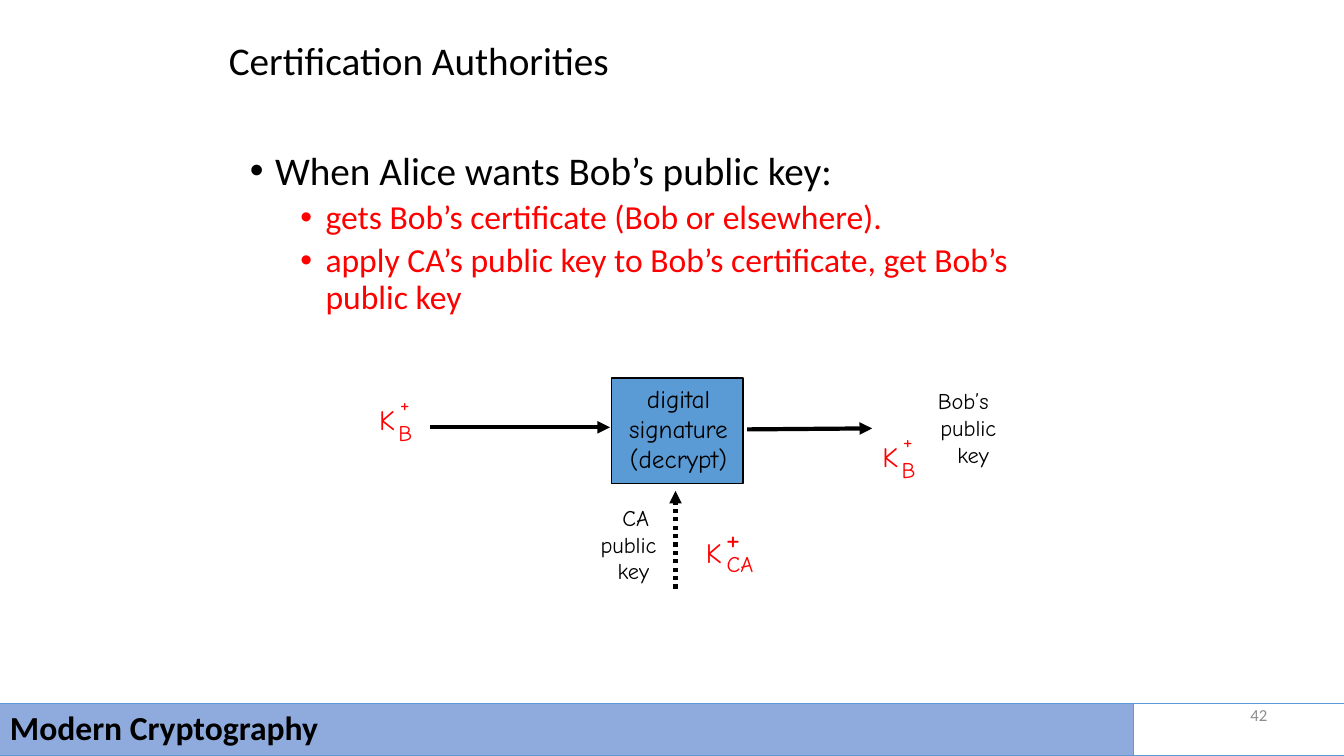
from lxml import etree
from pptx import Presentation
from pptx.dml.color import RGBColor
from pptx.enum import dml, shapes, text
from pptx.oxml.ns import qn
from pptx.util import Inches, Pt

COLORS = {"black": "000000", "red": "FF0000", "box": "5B9BD5",
          "footer": "8FAADC", "number": "8C8C8C"}
BODY_FONT = "Calibri"
DIAGRAM_FONT = "Comic Neue"
LEFT, CENTER, RIGHT = text.PP_ALIGN.LEFT, text.PP_ALIGN.CENTER, text.PP_ALIGN.RIGHT


def color(name):
    return RGBColor.from_string(COLORS[name])


def style(paragraph, size, color_name="black", font=BODY_FONT, align=LEFT, bold=False):
    paragraph.alignment = align
    paragraph.font.size = Pt(size)
    paragraph.font.name = font
    paragraph.font.bold = bold
    paragraph.font.color.rgb = color(color_name)


def write(frame, lines, size, anchor=text.MSO_ANCHOR.TOP, spacing=None, wrap=True, **look):
    frame.word_wrap = wrap
    frame.auto_size = text.MSO_AUTO_SIZE.NONE
    frame.vertical_anchor = anchor
    for index, line in enumerate(lines):
        paragraph = frame.add_paragraph() if index else frame.paragraphs[0]
        paragraph.text = line
        paragraph.line_spacing = spacing
        style(paragraph, size, **look)


def add_text(slide, left, top, width, height, lines, size, **look):
    box = slide.shapes.add_textbox(Inches(left), Inches(top), Inches(width), Inches(height))
    write(box.text_frame, lines, size, **look)


def add_rectangle(slide, left, top, width, height, fill, line):
    shape = slide.shapes.add_shape(shapes.MSO_SHAPE.RECTANGLE, Inches(left), Inches(top),
                                   Inches(width), Inches(height))
    shape.shadow.inherit = False
    if fill:
        shape.fill.solid()
        shape.fill.fore_color.rgb = color(fill)
    else:
        shape.fill.background()
    shape.line.color.rgb = color(line)
    shape.line.width = Pt(0.75)
    return shape


def add_arrow(slide, start, end, dotted=False):
    arrow = slide.shapes.add_connector(shapes.MSO_CONNECTOR.STRAIGHT,
                                       *(Inches(value) for value in (*start, *end)))
    arrow.line.color.rgb = color("black")
    arrow.line.width = Pt(3)
    if dotted:
        arrow.line.dash_style = dml.MSO_LINE.ROUND_DOT
    etree.SubElement(arrow.line._get_or_add_ln(), qn("a:tailEnd"), type="triangle")
    etree.SubElement(arrow._element.spPr, qn("a:effectLst"))


def add_key(slide, left, top, owner, owner_box, plus_box, plus_size=16):
    look = {"color_name": "red", "font": DIAGRAM_FONT, "align": CENTER, "wrap": False}
    parts = [("K ", 20, (0, 0, 0.45, 0.43)), (owner, 16, owner_box), ("+", plus_size, plus_box)]
    for symbol, size, (dx, dy, width, height) in parts:
        add_text(slide, left + dx, top + dy, width, height, [symbol], size, **look)


def add_title(slide, title_text):
    title = slide.shapes.title
    title.left, title.top = Inches(2.17), Inches(0)
    title.width, title.height = Inches(6.92), Inches(1.25)
    write(title.text_frame, [title_text], 28, anchor=text.MSO_ANCHOR.MIDDLE, spacing=0.9)


def add_bullets(slide, items):
    box = slide.shapes.add_textbox(Inches(2.38), Inches(1.45), Inches(8.45), Inches(5.08))
    frame = box.text_frame
    frame.word_wrap = True
    for index, (level, item) in enumerate(items):
        paragraph = frame.add_paragraph() if index else frame.paragraphs[0]
        paragraph.text = item
        paragraph.level = level
        paragraph.line_spacing = 0.9
        paragraph.space_before = Pt(5 if index else 0)
        properties = paragraph._p.get_or_add_pPr()
        properties.set("marL", str(Inches(0.25 + 0.5 * level)))
        properties.set("indent", str(Inches(-0.25)))
        etree.SubElement(properties, qn("a:buFont"), typeface="Arial")
        etree.SubElement(properties, qn("a:buChar"), char="•")
        style(paragraph, 24 if level else 28, "red" if level else "black")


def add_diagram(slide):
    label = {"font": DIAGRAM_FONT, "align": RIGHT}
    add_text(slide, 8.93, 3.79, 1.05, 0.9, ["Bob’s ", "public", "key "], 16, **label)
    add_text(slide, 5.56, 4.95, 1.05, 0.9, ["CA ", "public", "key "], 16, **label)

    add_rectangle(slide, 6.07, 3.75, 1.3, 1.05, "box", "black")
    add_text(slide, 6.08, 3.75, 1.3, 1, ["digital", "signature", "(decrypt)"], 18,
             font=DIAGRAM_FONT, align=CENTER, wrap=False)

    bob = (0.19, 0.17, 0.34, 0.37)
    bob_plus = (0.2, -0.12, 0.31, 0.37)
    add_key(slide, 3.66, 3.94, "B", bob, bob_plus)
    add_key(slide, 8.65, 4.31, "B", bob, bob_plus)
    add_key(slide, 6.9, 5.26, "CA", (0.19, 0.15, 0.5, 0.37), (0.19, -0.18, 0.36, 0.5), 24)

    add_arrow(slide, (6.7, 5.84), (6.7, 4.87), dotted=True)
    add_arrow(slide, (4.27, 4.24), (6.05, 4.24))
    add_arrow(slide, (7.41, 4.26), (8.65, 4.25))


def add_footer(slide, course, number):
    add_text(slide, 9.56, 6.83, 3.11, 0.52, [number], 12, color_name="number",
             align=RIGHT, anchor=text.MSO_ANCHOR.MIDDLE)
    bar = add_rectangle(slide, 0, 6.98, 11.24, 0.52, "footer", "box")
    write(bar.text_frame, [course], 24, anchor=text.MSO_ANCHOR.MIDDLE, spacing=0.9, bold=True)
    add_rectangle(slide, 11.24, 6.98, 2.1, 0.52, None, "box")


def main():
    presentation = Presentation()
    presentation.slide_width, presentation.slide_height = Inches(13.33), Inches(7.5)
    slide = presentation.slides.add_slide(presentation.slide_layouts[5])
    add_title(slide, "Certification Authorities")
    add_bullets(slide, [
        (0, "When Alice wants Bob’s public key:"),
        (1, "gets Bob’s certificate (Bob or elsewhere)."),
        (1, "apply CA’s public key to Bob’s certificate, get Bob’s public key"),
    ])
    add_diagram(slide)
    add_footer(slide, "Modern Cryptography", "42")
    presentation.save("out.pptx")


if __name__ == "__main__":
    main()
